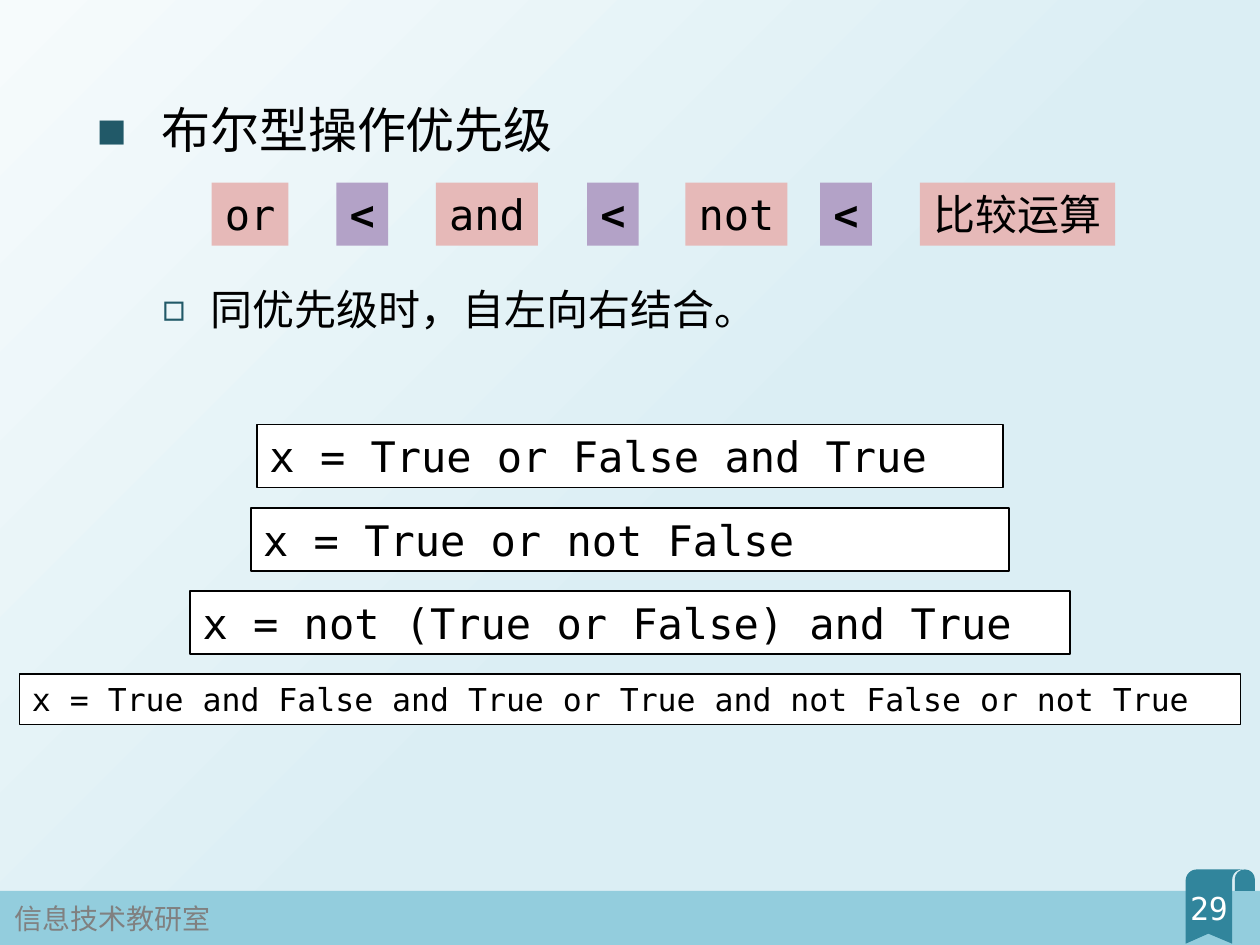
"""Build a slide on the precedence of Boolean operators."""
from math import cos, radians, sin

from lxml import etree
from pptx import Presentation
from pptx.dml.color import RGBColor
from pptx.enum.shapes import MSO_SHAPE
from pptx.enum.text import MSO_ANCHOR, MSO_AUTO_SIZE, PP_ALIGN
from pptx.oxml.ns import qn
from pptx.util import Inches, Pt

RECTANGLE = MSO_SHAPE.RECTANGLE
LEFT, CENTER = PP_ALIGN.LEFT, PP_ALIGN.CENTER
TOP, MIDDLE = MSO_ANCHOR.TOP, MSO_ANCHOR.MIDDLE
NO_FIT = MSO_AUTO_SIZE.NONE
MONO, CJK = "DejaVu Sans Mono", "Noto Sans CJK JP"
WIDTH, HEIGHT = 10, 7.5
BLACK, WHITE, TEAL = "000000", "FFFFFF", "31859C"
PINK, PURPLE = "E6B9B8", "B3A2C7"

BACKGROUND = [(0, "F6FBFC"), (0.56, "DBEEF4")]
# text, size, top, height, text indent, hanging indent, bullet, bullet percent
BULLETS = [
    ("布尔型操作优先级", 28, 0.65, 0.77, 0.49, 0.49, "■", 82),
    ("同优先级时，自左向右结合。", 24, 2.12, 0.59, 0.88, 0.38, "◻", 90),
]
PRECEDENCE = [
    ("or", 1.68, 0.61), ("<", 2.67, 0.41), ("and", 3.46, 0.81),
    ("<", 4.66, 0.41), ("not", 5.44, 0.81), ("<", 6.51, 0.41),
    ("比较运算", 7.3, 1.55),
]
EXPRESSIONS = [
    ("x = True or False and True", 5.92, 0.5, 24),
    ("x = True or not False", 6.02, 0.5, 24),
    ("x = not (True or False) and True", 6.98, 0.5, 24),
    ("x = True and False and True or True and not False or not True", 9.69, 0.4, 18),
]
CHIP_TOP, CHIP_HEIGHT = 1.45, 0.5
EXPRESSION_TOP, EXPRESSION_STEP = 3.37, 0.66
FOOTER, PAGE_NUMBER = "信息技术教研室", "29"
FOOTER_TOP = 7.07
UNITS_PER_INCH = 1000


def color(code):
    return RGBColor.from_string(code)


def place(shape, *box):
    shape.left, shape.top, shape.width, shape.height = map(Inches, box)


def paint(shape, fill, line=None):
    shape.shadow.inherit = False
    shape.fill.solid()
    shape.fill.fore_color.rgb = color(fill)
    if line:
        shape.line.color.rgb = color(line)
        shape.line.width = Pt(1)
    else:
        shape.line.fill.background()


def write(shape, text, size, ink=BLACK, align=LEFT, wrap=True, bold=False,
          font=MONO, anchor=MIDDLE):
    frame = shape.text_frame
    frame.word_wrap = wrap
    frame.auto_size = NO_FIT
    frame.vertical_anchor = anchor
    paragraph = frame.paragraphs[0]
    paragraph.text = text
    paragraph.alignment = align
    paragraph.font.name = font
    paragraph.font.size = Pt(size)
    paragraph.font.bold = bold
    paragraph.font.color.rgb = color(ink)


def add_bullet(paragraph, indent, hanging, mark, percent):
    properties = paragraph._p.get_or_add_pPr()
    properties.set("marL", str(Inches(indent)))
    properties.set("indent", str(-Inches(hanging)))
    tint = etree.SubElement(properties, qn("a:buClr"))
    etree.SubElement(tint, qn("a:srgbClr"), val="215968")
    etree.SubElement(properties, qn("a:buSzPct"), val=str(percent * 1000))
    etree.SubElement(properties, qn("a:buFont"), typeface=MONO)
    etree.SubElement(properties, qn("a:buChar"), char=mark)


def add_box(slide, box, fill, line=None):
    shape = slide.shapes.add_shape(RECTANGLE, *map(Inches, box))
    paint(shape, fill, line)
    return shape


def arc(x, y, radius, start, end):
    angles = [radians(start + (end - start) * step / 8) for step in range(9)]
    return [(x + radius * cos(a), y + radius * sin(a)) for a in angles]


def add_ribbon(slide):
    curl = arc(9.88, 6.98, 0.08, 180, 360) + [(9.96, FOOTER_TOP), (9.8, FOOTER_TOP)]
    band = (arc(9.5, 6.99, 0.09, 180, 270) + arc(9.86, 6.98, 0.08, 270, 180)
            + [(9.78, 7.49), (9.59, 7.41), (9.41, 7.49)])
    curl, band = ([(round(x * UNITS_PER_INCH), round(y * UNITS_PER_INCH))
                   for x, y in part] for part in (curl, band))
    builder = slide.shapes.build_freeform(*curl[0], scale=Inches(1) / UNITS_PER_INCH)
    builder.add_line_segments(curl[1:])
    builder.move_to(*band[0])
    builder.add_line_segments(band[1:])
    paint(builder.convert_to_shape(), TEAL)


def add_footer(slide):
    add_box(slide, (0, FOOTER_TOP, WIDTH, HEIGHT - FOOTER_TOP), "93CDDD")
    add_ribbon(slide)
    labels = [
        (FOOTER, (0.02, 7.1, 1.77, 0.37), 16, "808080", LEFT, CJK),
        (PAGE_NUMBER, (9.24, 7.01, 0.71, 0.4), 18, WHITE, CENTER, MONO),
    ]
    for text, box, size, ink, align, font in labels:
        label = slide.shapes.add_textbox(*map(Inches, box))
        write(label, text, size, ink, align, wrap=False, font=font)


def main():
    deck = Presentation()
    deck.slide_width, deck.slide_height = Inches(WIDTH), Inches(HEIGHT)
    slide = deck.slides.add_slide(deck.slide_layouts.get_by_name("Two Content"))
    backdrop = slide.background.fill
    backdrop.gradient()
    backdrop.gradient_angle = 315
    for stop, (position, tint) in zip(backdrop.gradient_stops, BACKGROUND):
        stop.position = position
        stop.color.rgb = color(tint)

    title, *bodies = slide.placeholders
    title.element.getparent().remove(title.element)
    add_footer(slide)
    for body, (text, size, top, height, *bullet) in zip(bodies, BULLETS):
        place(body, 0.69, top, 8.62, height)
        paragraph = body.text_frame.paragraphs[0]
        add_bullet(paragraph, *bullet)
        paragraph.line_spacing = 1.2
        paragraph.space_before = Pt(0)
        write(body, text, size, anchor=TOP)

    for text, left, width in PRECEDENCE:
        is_sign = text == "<"
        chip = add_box(slide, (left, CHIP_TOP, width, CHIP_HEIGHT),
                       PURPLE if is_sign else PINK)
        write(chip, text, 24, align=CENTER, wrap=False, bold=is_sign)

    for row, (text, width, height, size) in enumerate(EXPRESSIONS):
        top = EXPRESSION_TOP + row * EXPRESSION_STEP
        box = add_box(slide, ((WIDTH - width) / 2, top, width, height), WHITE, BLACK)
        write(box, text, size)

    deck.save("out.pptx")


if __name__ == "__main__":
    main()
